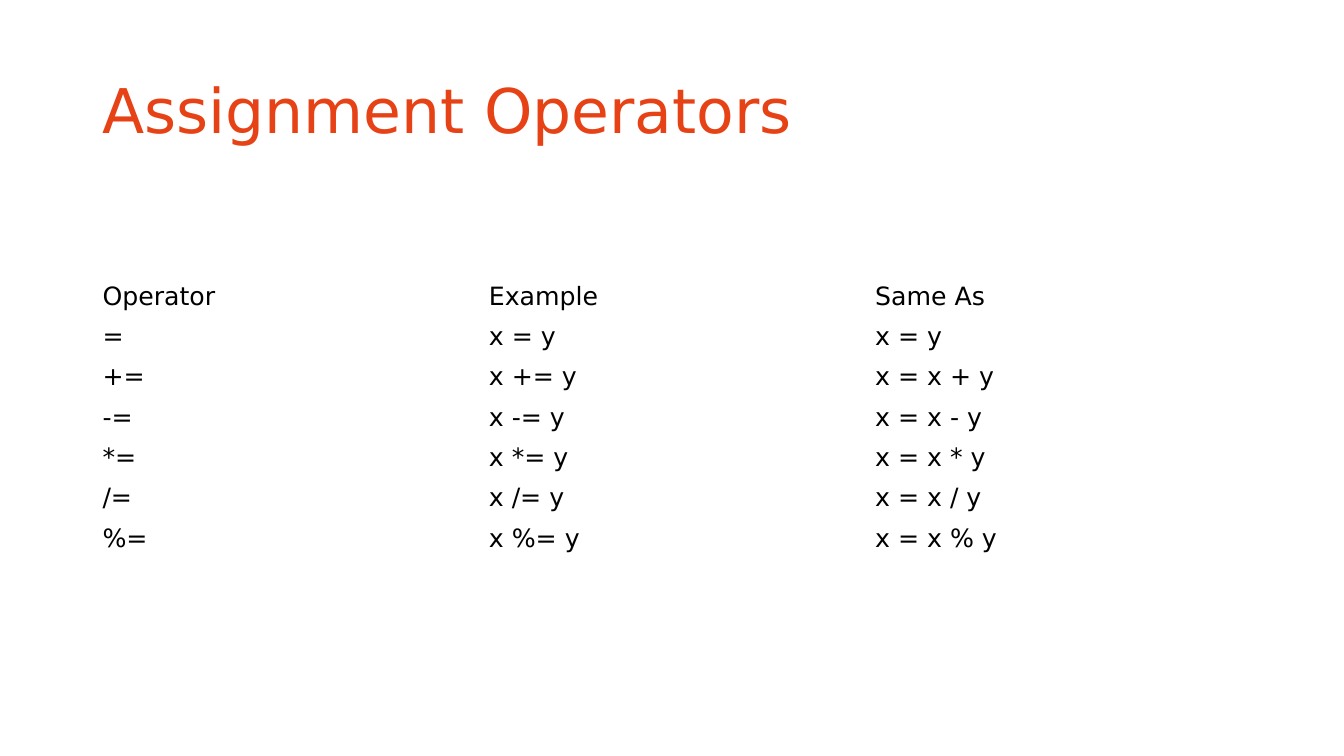
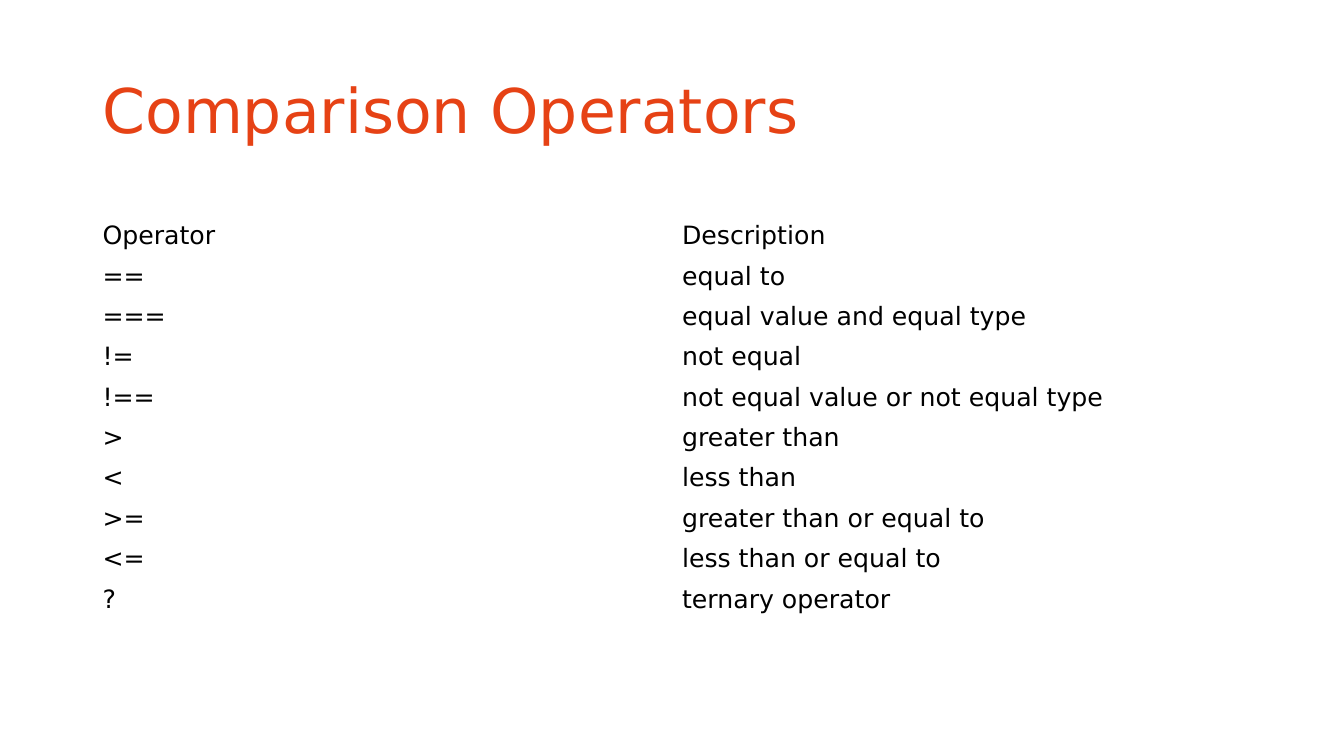
"""Build two slides of operator tables, each under an orange title."""
from pptx import Presentation
from pptx.dml.color import RGBColor
from pptx.enum.text import MSO_ANCHOR
from pptx.util import Cm, Pt

MIDDLE = MSO_ANCHOR.MIDDLE
ORANGE = RGBColor(0xE6, 0x42, 0x15)
BLACK = RGBColor(0x00, 0x00, 0x00)
FONT = "DejaVu Sans"
LEFT, WIDTH = Cm(2.33), Cm(29.21)
ROW_HEIGHT = Cm(0.99)

SLIDES = [
    ("Assignment Operators", Cm(6.96), [
        ("Operator", "Example", "Same As"),
        ("=", "x = y", "x = y"),
        ("+=", "x += y", "x = x + y"),
        ("-=", "x -= y", "x = x - y"),
        ("*=", "x *= y", "x = x * y"),
        ("/=", "x /= y", "x = x / y"),
        ("%=", "x %= y", "x = x % y"),
    ]),
    ("Comparison Operators", Cm(5.44), [
        ("Operator", "Description"),
        ("==", "equal to"),
        ("===", "equal value and equal type"),
        ("!=", "not equal"),
        ("!==", "not equal value or not equal type"),
        (">", "greater than"),
        ("<", "less than"),
        (">=", "greater than or equal to"),
        ("<=", "less than or equal to"),
        ("?", "ternary operator"),
    ]),
]


def write(tf, text, size=18, color=BLACK, spacing=1.0):
    """Put one formatted run into a text frame."""
    p = tf.paragraphs[0]
    p.line_spacing = spacing
    r = p.add_run()
    r.text = text
    r.font.name = FONT
    r.font.size = Pt(size)
    r.font.bold = False
    r.font.color.rgb = color


prs = Presentation()
prs.slide_width, prs.slide_height = Cm(33.87), Cm(19.05)
blank = prs.slide_layouts[6]

for title, top, rows in SLIDES:
    s = prs.slides.add_slide(blank)
    tf = s.shapes.add_textbox(LEFT, Cm(1.01), WIDTH, Cm(3.68)).text_frame
    tf.word_wrap = True
    tf.vertical_anchor = MIDDLE
    write(tf, title, size=44, color=ORANGE, spacing=0.9)

    table = s.shapes.add_table(len(rows), len(rows[0]), LEFT, top,
                               WIDTH, ROW_HEIGHT * len(rows)).table
    table.first_row = False
    table.horz_banding = False
    for i, row in enumerate(rows):
        for j, text in enumerate(row):
            cell = table.cell(i, j)
            cell.fill.background()
            cell.vertical_anchor = MIDDLE
            write(cell.text_frame, text)

prs.save("out.pptx")
